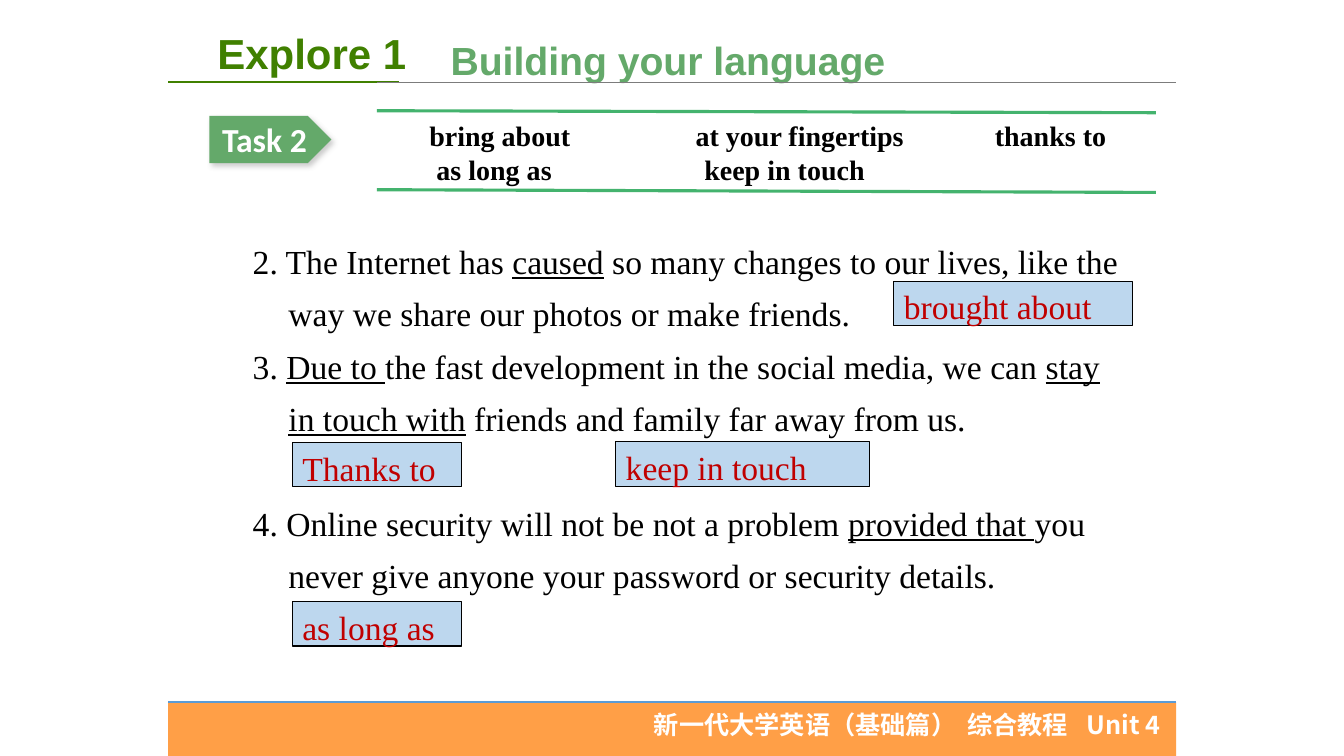
from lxml import etree
from pptx import Presentation
from pptx.dml.color import RGBColor
from pptx.enum.shapes import MSO_CONNECTOR, MSO_SHAPE
from pptx.enum.text import MSO_ANCHOR, MSO_AUTO_SIZE, PP_ALIGN
from pptx.oxml.ns import qn
from pptx.util import Cm, Pt

LINE = MSO_CONNECTOR.STRAIGHT
RECT, PLATE = MSO_SHAPE.RECTANGLE, MSO_SHAPE.PENTAGON
TOP, MID = MSO_ANCHOR.TOP, MSO_ANCHOR.MIDDLE
LEFT, CENTER = PP_ALIGN.LEFT, PP_ALIGN.CENTER
FIXED = MSO_AUTO_SIZE.NONE
SERIF, SANS, CJK = "Times New Roman", "Arial", "Noto Sans CJK SC"
GREEN, WHITE, BLACK = "64A96A", "FFFFFF", "000000"


def color(code):
    """Turn a hex string into a colour."""
    return RGBColor.from_string(code)


class Page:
    """Hold the style and the current slide."""

    def __init__(self, deck):
        """Add a title-only slide."""
        self.slide = deck.slides.add_slide(deck.slide_layouts[5])
        self.shapes = self.slide.shapes

    def para(self, item, text, size, face, tone, bold=False, align=LEFT, tabs=()):
        """Fill one paragraph, underlining the parts between bars."""
        props = item._p.get_or_add_pPr()
        if tabs:
            stops = etree.SubElement(props, qn("a:tabLst"))
            for stop in tabs:
                etree.SubElement(stops, qn("a:tab"), pos=str(Cm(stop)), algn="l")
        for i, part in enumerate(text.split("|")):
            run = item.add_run()
            run.text = part
            if i % 2:
                run.font.underline = True
        item.alignment = align
        font = item.font
        font.size, font.name, font.bold = Pt(size), face, bold
        font.color.rgb = color(tone)
        if face == CJK:
            etree.SubElement(props.find(qn("a:defRPr")), qn("a:ea"), typeface=face)

    def title(self, box, text, *style):
        """Place and format the title."""
        shape = self.shapes.title
        shape.left, shape.top, shape.width, shape.height = map(Cm, box)
        frame = shape.text_frame
        frame.auto_size, frame.vertical_anchor = FIXED, TOP
        self.para(frame.paragraphs[0], text, *style)

    def text(self, box, rows, *style, wrap=True, tabs=((),)):
        """Add a text box with one paragraph a row."""
        frame = self.shapes.add_textbox(*map(Cm, box)).text_frame
        frame.word_wrap = wrap
        for i, row in enumerate(rows):
            item = frame.add_paragraph() if i else frame.paragraphs[0]
            self.para(item, row, *style, tabs=tabs[i % len(tabs)])
        return frame.paragraphs

    def shape(self, kind, box, fill, edge=None):
        """Add a filled shape."""
        shape = self.shapes.add_shape(kind, *map(Cm, box))
        shape.shadow.inherit = False
        shape.fill.solid()
        shape.fill.fore_color.rgb = color(fill)
        if edge:
            shape.line.color.rgb = color(edge)
            shape.line.width = Pt(0.75)
        else:
            shape.line.fill.background()
        return shape

    def line(self, ends, tone, width):
        """Add a straight line."""
        line = self.shapes.add_connector(LINE, *map(Cm, ends))
        line.line.color.rgb = color(tone)
        line.line.width = Pt(width)
        etree.SubElement(line._element.spPr, qn("a:effectLst"))

    def badge(self, box, text):
        """Add the task arrow with a soft shadow."""
        shape = self.shape(PLATE, box, GREEN)
        effects = shape._element.spPr.find(qn("a:effectLst"))
        shade = etree.SubElement(
            effects, qn("a:outerShdw"), blurRad=str(Pt(4)), dist=str(Pt(3)),
            dir="2700000", algn="tl", rotWithShape="0")
        tone = etree.SubElement(shade, qn("a:srgbClr"), val="808080")
        etree.SubElement(tone, qn("a:alpha"), val="40000")
        frame = shape.text_frame
        frame.vertical_anchor = MID
        self.para(frame.paragraphs[0], text, 24, "Calibri", WHITE, True, CENTER)

    def answer(self, left, top, width, text):
        """Add a boxed answer."""
        shape = self.shape(RECT, (left, top, width, 1.12), "BDD7EE", BLACK)
        frame = shape.text_frame
        frame.vertical_anchor = TOP
        self.para(frame.paragraphs[0], text, 24, SERIF, "C00000")


def main():
    """Build the slide."""
    deck = Presentation()
    deck.slide_width, deck.slide_height = Cm(33.87), Cm(19.05)
    page = Page(deck)
    page.title((11.1, 0.79, 12.45, 1.45), "Building your language",
               28, SANS, GREEN, True)
    page.shape(RECT, (4.24, 17.7, 25.4, 1.35), "FF9F47")
    for ends, tone, width in (
        ((4.24, 17.7, 29.64, 17.7), "5B9BD5", 1.5),
        ((4.24, 2.06, 10.06, 2.06), "408000", 1.5),
        ((9.5, 2.06, 29.64, 2.06), "7C7C7C", 0.25),
        ((9.5, 2.79, 29.13, 2.84), "44B36E", 2.25),
        ((9.5, 4.78, 29.13, 4.85), "44B36E", 2.25),
    ):
        page.line(ends, tone, width)
    page.text((5.23, 0.56, 5.28, 1.52), ["Explore 1"],
              30, SANS, "408000", True, wrap=False)
    page.text((16.23, 17.75, 13.39, 1.02),
              ["新一代大学英语（基础篇）\t综合教程\tUnit 4"],
              18, CJK, WHITE, True, tabs=((7.9, 10.9),))
    page.badge((5.28, 2.92, 3.07, 1.19), "Task 2")
    page.text((10.57, 2.87, 22.73, 1.96),
              ["bring about\tat your fingertips\tthanks to",
               "\tas long as\tkeep in touch"],
              20, SERIF, BLACK, True, tabs=((6.71, 14.25), (0.18, 6.93)))

    tasks = page.text((6.12, 5.64, 22.43, 9.58), [
        "2. The Internet has |caused| so many changes to our lives, like the "
        "way we share our photos or make friends.",
        "3. |Due to |the fast development in the social media, we can "
        "|stay in touch with| friends and family far away from us.",
        "4. Online security will not be not a problem |provided that |you "
        "never give anyone your password or security details.",
    ], 24, SERIF, BLACK)
    for task in tasks:
        task.line_spacing = 1.3
        props = task._p.get_or_add_pPr()
        props.set("marL", str(Cm(0.9)))
        props.set("indent", str(Cm(-0.9)))
    tasks[-1].space_before = Pt(37.5)

    for spot in (
        (22.53, 7.09, 6.02, "brought about"),
        (15.52, 11.13, 6.4, "keep in touch"),
        (7.37, 11.15, 4.27, "Thanks to"),
        (7.37, 15.16, 4.27, "as long as"),
    ):
        page.answer(*spot)
    deck.save("out.pptx")


if __name__ == "__main__":
    main()
